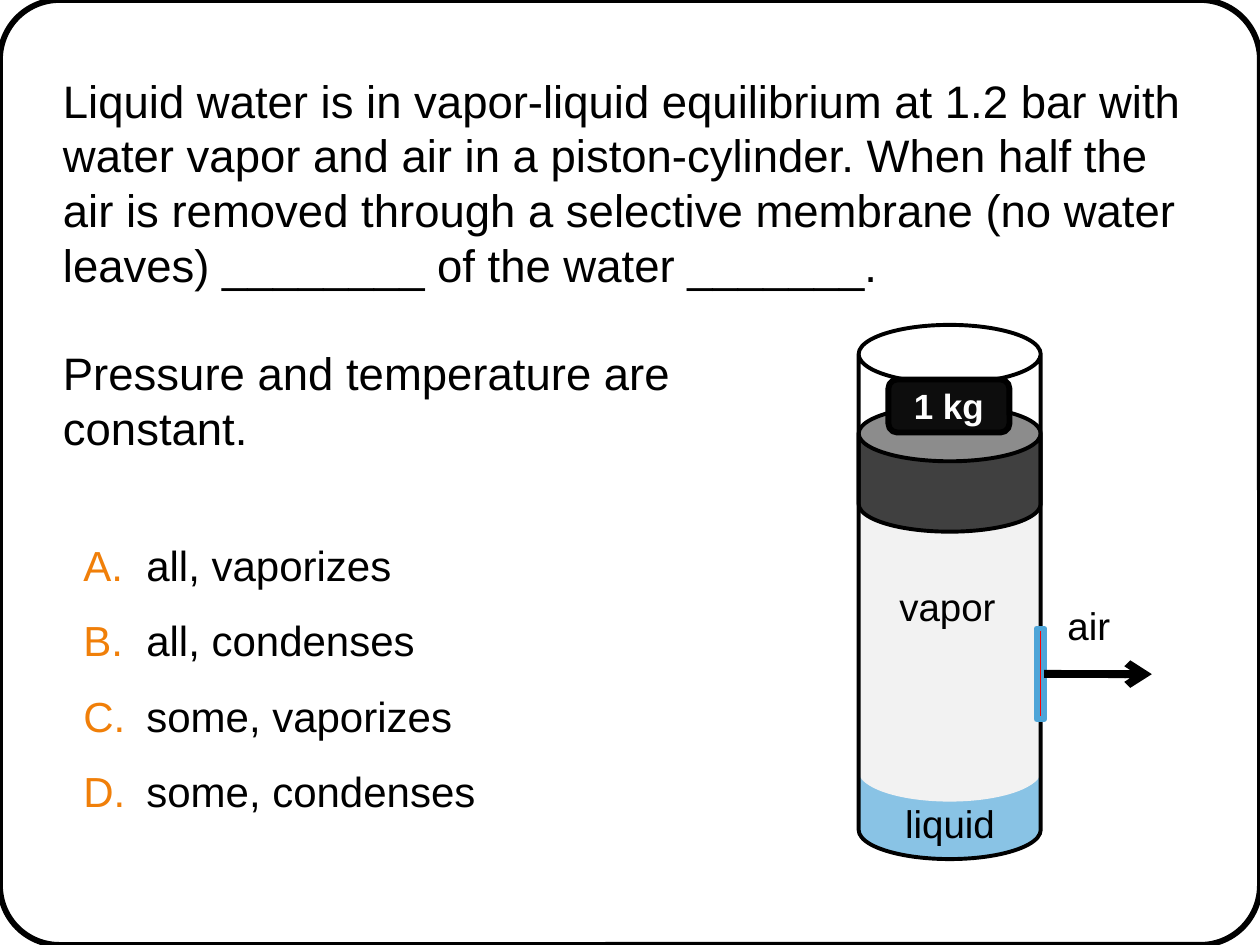
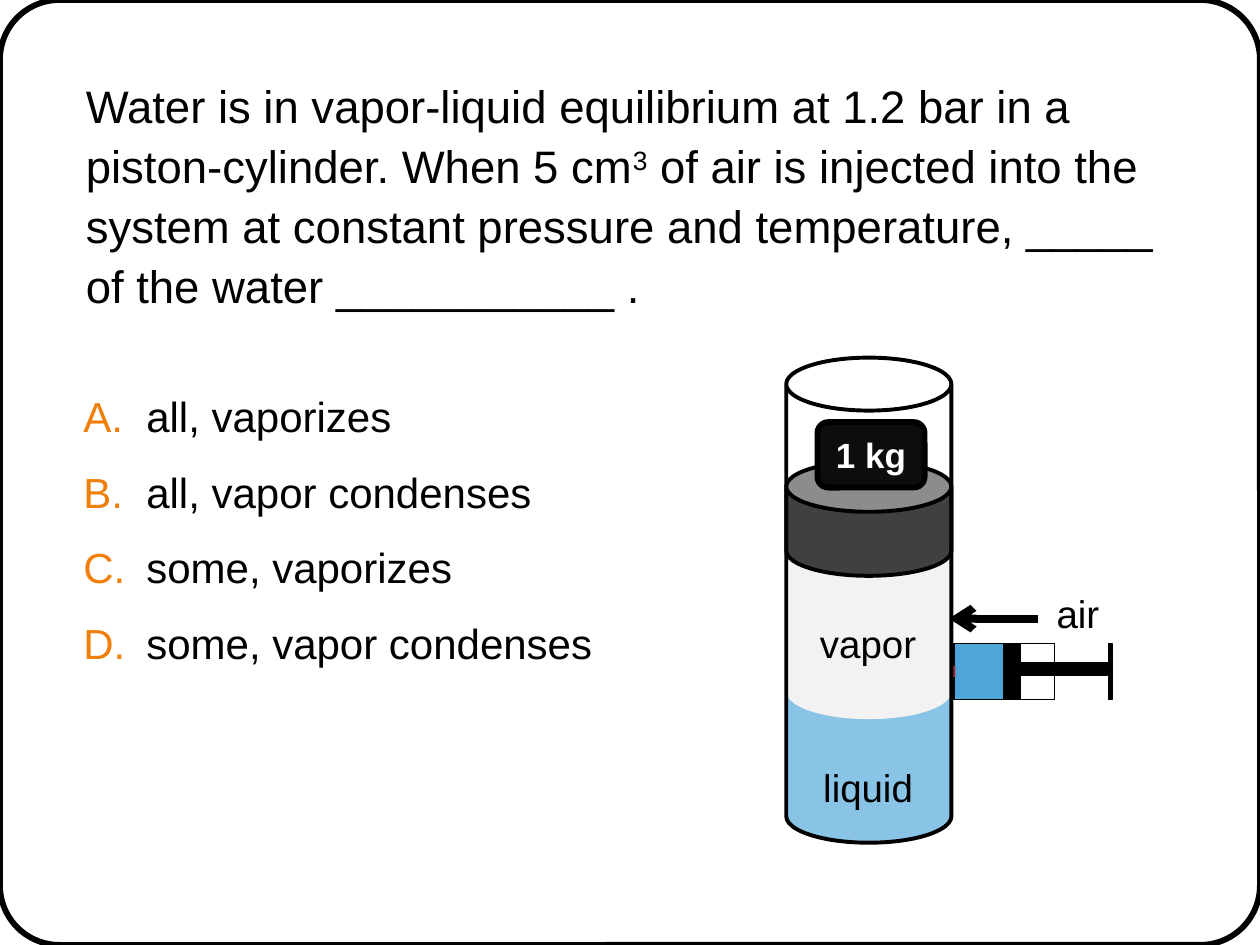
from pptx import Presentation
from pptx.dml.color import RGBColor as Rgb
from pptx.enum.shapes import MSO_CONNECTOR as Link, MSO_SHAPE as Kind
from pptx.enum.text import MSO_ANCHOR as Anchor, PP_ALIGN as Align
from pptx.oxml.ns import qn
from pptx.util import Cm, Pt
from lxml.etree import SubElement as Sub

FONT = "Arial"
BLACK, WHITE = "000000", "FFFFFF"
ORANGE, BLUE, RED = "F07F09", "4EA5D8", "FF0000"
PORT, WATER, VAPOR, METAL, IRON = "9F2936", "89C3E5", "F2F2F2", "404040", "0D0D0D"
WIDE, HIGH = 25.4, 19.05


def tint(code):
    return Rgb.from_string(code)


def form(slide, kind, box, fill=None, line=None, width=0.75, bend=None):
    shape = slide.shapes.add_shape(kind, *map(Cm, box))
    shape.shadow.inherit = False
    if fill:
        shape.fill.solid()
        shape.fill.fore_color.rgb = tint(fill)
    else:
        shape.fill.background()
    if line:
        shape.line.color.rgb = tint(line)
        shape.line.width = Pt(width)
    else:
        shape.line.fill.background()
    if bend is not None:
        shape.adjustments[0] = bend
    return shape


def style(par, size, color=BLACK, bold=False):
    par.font.name = FONT
    par.font.size = Pt(size)
    par.font.bold = bold
    par.font.color.rgb = tint(color)


def frame(slide, box, inset=True):
    text = slide.shapes.add_textbox(*map(Cm, box)).text_frame
    text.word_wrap = True
    if not inset:
        text.margin_left = text.margin_right = 0
        text.margin_top = text.margin_bottom = 0
    return text


def label(slide, text, mid, top):
    par = frame(slide, (mid - 1.5, top, 3, 1.19)).paragraphs[0]
    par.text = text
    par.alignment = Align.CENTER
    style(par, 22)


def query(slide, box, parts, space=1.0):
    text = frame(slide, box, False)
    for spot, runs in enumerate(parts):
        par = text.add_paragraph() if spot else text.paragraphs[0]
        par.line_spacing = space
        if spot:
            par.space_before = Pt(30)
        style(par, 26)
        for words, raised in runs:
            run = par.add_run()
            run.text = words
            if raised:
                run.font._element.set("baseline", "30000")


def options(slide, top, items):
    text = frame(slide, (1.68, top, 14, 7), False)
    for spot, item in enumerate(items):
        par = text.add_paragraph() if spot else text.paragraphs[0]
        par.text = item
        par.line_spacing = 1.5
        style(par, 24)
        props = par._p.get_or_add_pPr()
        props.set("marL", str(Cm(1.27)))
        props.set("indent", str(-Cm(1.27)))
        mark = props.makeelement(qn("a:buClr"), {})
        Sub(mark, qn("a:srgbClr"), val=ORANGE)
        auto = props.makeelement(qn("a:buAutoNum"), {"type": "alphaUcPeriod"})
        props.find(qn("a:defRPr")).addprevious(mark)
        mark.addnext(auto)


def arrow(slide, start, end):
    link = slide.shapes.add_connector(Link.STRAIGHT, *map(Cm, start + end))
    link.line.color.rgb = tint(BLACK)
    link.line.width = Pt(4.5)
    Sub(link.line._get_or_add_ln(), qn("a:tailEnd"), type="arrow")
    Sub(link._element.spPr, qn("a:effectLst"))
    return link


def vessel(slide, left, width, liquid, vapor, piston, shell):
    looks = ((liquid, WATER, None), (vapor, VAPOR, None),
             (piston, METAL, BLACK), (shell, None, BLACK))
    for (top, tall, bend), fill, line in looks:
        form(slide, Kind.CAN, (left, top, width, tall), fill, line, 2.25, bend)


def weight(slide, box):
    shape = form(slide, Kind.ROUNDED_RECTANGLE, box, IRON, BLACK, 3.35)
    text = shape.text_frame
    text.vertical_anchor = Anchor.MIDDLE
    text.word_wrap = False
    par = text.paragraphs[0]
    par.text = "1 kg"
    par.alignment = Align.CENTER
    style(par, 20, WHITE, True)


def syringe(slide):
    top, tall = 12.98, 1.12
    parts = (((19.23, top, 1.02, tall), BLUE),
             ((20.24, top, 1.02, tall), WHITE),
             ((20.27, top, 0.3, tall), BLACK),
             ((20.55, 13.36, 1.78, 0.25), BLACK),
             ((22.34, top, 0.08, tall), BLACK))
    for box, fill in parts:
        form(slide, Kind.RECTANGLE, box, fill, BLACK)
    form(slide, Kind.RECTANGLE, (19.11, 13.42, 0.15, 0.23), PORT)


def page(deck):
    slide = deck.slides.add_slide(deck.slide_layouts[6])
    form(slide, Kind.ROUNDED_RECTANGLE, (0, 0, WIDE, HIGH),
         None, BLACK, 3.35, 0.063)
    return slide


def removal(deck):
    slide = page(deck)
    query(slide, (1.27, 1.47, 23.06, 7.98), [
        [("Liquid water is in vapor-liquid equilibrium at 1.2 bar with water "
          "vapor and air in a piston-cylinder. When half the air is removed "
          "through a selective membrane (no water leaves) ________ of the "
          "water _______.", False)]])
    query(slide, (1.27, 6.96, 13.5, 2.5),
          [[("Pressure and temperature are constant.", False)]])
    options(slide, 10.36, ("all, vaporizes", "all, condenses",
                           "some, vaporizes", "some, condenses"))
    vessel(slide, 17.31, 3.67, (15.04, 2.26, 0.474), (9.3, 6.86, 0.334),
           (8.18, 2.54, 0.441), (6.55, 10.77, 0.321))
    film = form(slide, Kind.RECTANGLE, (20.9, 12.67, 0.15, 1.83),
                RED, BLUE, 3.35)
    arrow(slide, (21.05, 13.59), (23.22, 13.59)).begin_connect(film, 3)
    weight(slide, (17.91, 7.65, 2.44, 1.07))
    label(slide, "vapor", 19.1, 11.63)
    label(slide, "air", 21.95, 12.01)
    label(slide, "liquid", 19.15, 16)


def dosing(deck):
    slide = page(deck)
    query(slide, (1.73, 1.47, 22.33, 5.23), [
        [("Water is in vapor-liquid equilibrium at 1.2 bar in a "
          "piston-cylinder. When 5 cm", False), ("3", True),
         (" of air is injected into the system at constant pressure and "
          "temperature, _____ of the water ___________ .", False)]], 1.1)
    options(slide, 7.37, ("all, vaporizes", "all, vapor condenses",
                          "some, vaporizes", "some, vapor condenses"))
    syringe(slide)
    arrow(slide, (20.93, 12.47), (19.13, 12.47))
    vessel(slide, 15.85, 3.33, (13.34, 3.63, 0.334), (10.36, 4.14, 0.334),
           (9.3, 2.31, 0.441), (7.21, 9.78, 0.321))
    weight(slide, (16.48, 8.51, 2.16, 1.32))
    label(slide, "vapor", 17.5, 12.37)
    label(slide, "liquid", 17.5, 15.27)
    label(slide, "air", 21.73, 11.76)


def main():
    deck = Presentation()
    deck.slide_width, deck.slide_height = Cm(WIDE), Cm(HIGH)
    removal(deck)
    dosing(deck)
    deck.save("out.pptx")


if __name__ == "__main__":
    main()
